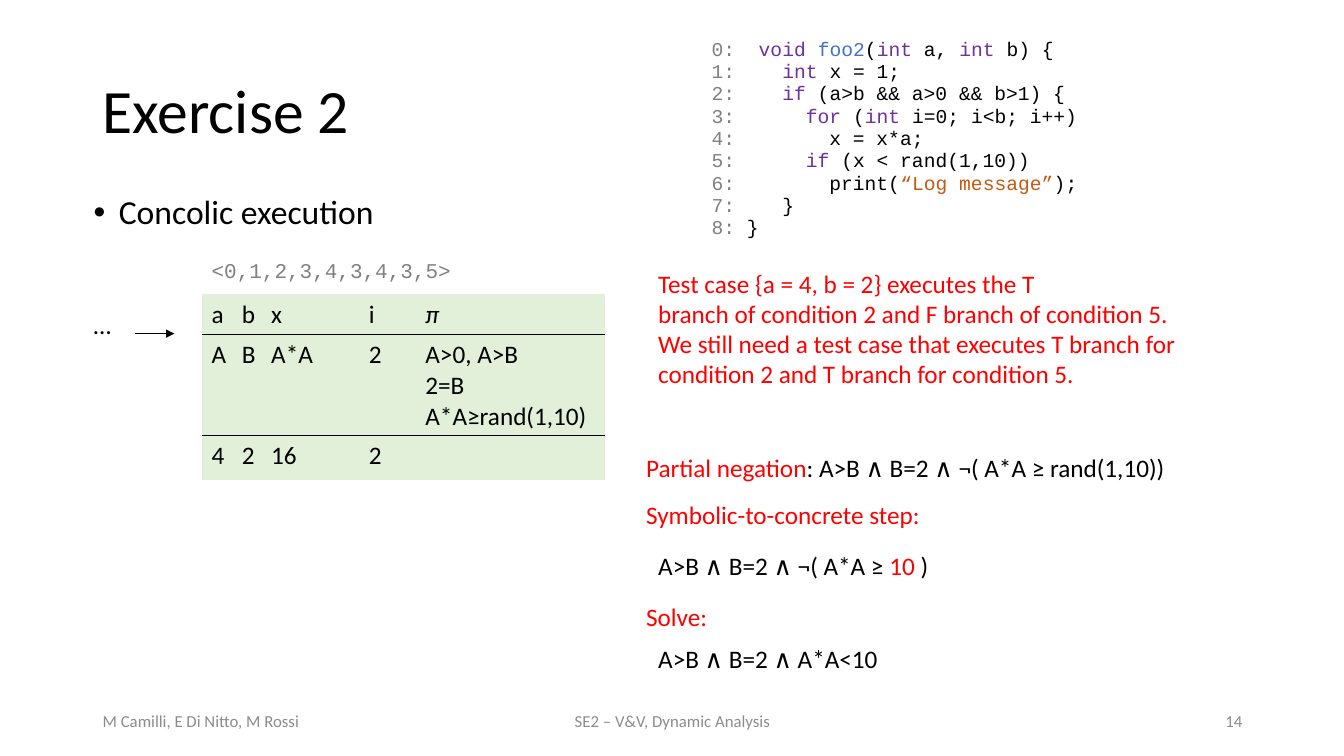
import pptx
import pptx.dml.color
import pptx.enum.shapes
import pptx.enum.text
import pptx.oxml
import pptx.oxml.ns
import pptx.util

EMU_PER_PX = 9144  # 100 px to the inch
BLACK, RED, GREY, FOOTER_GREY = "000000", "FF0000", "808080", "8C8C8C"
PURPLE, BLUE, ORANGE, PALE_GREEN = "7030A0", "4472C4", "C55A11", "E2F0D9"
ALIGN = pptx.enum.text.PP_ALIGN
MIDDLE = pptx.enum.text.MSO_ANCHOR.MIDDLE


def px(length):
    return pptx.util.Emu(length * EMU_PER_PX)


def colour_of(hex_string):
    return pptx.dml.color.RGBColor.from_string(hex_string)


def xml_element(tag, **attributes):
    element = pptx.oxml.parse_xml(f"<a:{tag} {pptx.oxml.ns.nsdecls('a')}/>")
    for name, value in attributes.items():
        element.set(name, str(value))
    return element


def write_text(frame, paragraphs, size=18, font="Calibri", colour=BLACK, italic=False,
               align=ALIGN.LEFT, spacing=None, bullet=None):
    """Paragraphs are strings or lists of (text, colour) runs; a newline breaks the line."""
    for index, content in enumerate(paragraphs):
        paragraph = frame.add_paragraph() if index else frame.paragraphs[0]
        paragraph.alignment = align
        if spacing:
            paragraph.line_spacing = spacing
        if bullet:
            properties = paragraph._p.get_or_add_pPr()
            properties.set("marL", str(px(25)))
            properties.set("indent", str(-px(25)))
            properties.append(xml_element("buFont", typeface="Arial"))
            properties.append(xml_element("buChar", char=bullet))
        runs = [(content, colour)] if isinstance(content, str) else content
        for text, run_colour in runs:
            for number, line in enumerate(text.split("\n")):
                if number:
                    paragraph.add_line_break()
                run = paragraph.add_run()
                run.text = line
                run.font.size = pptx.util.Pt(size)
                run.font.name = font
                run.font.italic = italic
                run.font.color.rgb = colour_of(run_colour)


class SlideBuilder:
    def __init__(self, presentation):
        self.slide = presentation.slides.add_slide(presentation.slide_layouts[6])
        self.line_colour = BLACK

    def text(self, left, top, width, height, *paragraphs, anchor=None, wrap=True, **style):
        shape = self.slide.shapes.add_textbox(px(left), px(top), px(width), px(height))
        shape.text_frame.word_wrap = wrap
        if anchor is not None:
            shape.text_frame.vertical_anchor = anchor
        write_text(shape.text_frame, paragraphs, **style)

    def arrow(self, start, end, weight):
        connector = self.slide.shapes.add_connector(
            pptx.enum.shapes.MSO_CONNECTOR.STRAIGHT, *map(px, start + end))
        connector.line.color.rgb = colour_of(self.line_colour)
        connector.line.width = pptx.util.Pt(weight)
        connector.line._get_or_add_ln().append(xml_element("tailEnd", type="triangle"))
        connector._element.spPr.append(xml_element("effectLst"))

    def border(self, cell, side, visible):
        line = xml_element(f"ln{side}", w=pptx.util.Pt(1))
        if visible:
            fill = xml_element("solidFill")
            fill.append(xml_element("srgbClr", val=self.line_colour))
        else:
            fill = xml_element("noFill")
        line.append(fill)
        cell._tc.get_or_add_tcPr().append(line)

    def table(self, left, top, widths, heights, rows, fill, italic_text):
        frame = self.slide.shapes.add_table(len(heights), len(widths), px(left), px(top),
                                            px(sum(widths)), px(sum(heights)))
        table = frame.table
        table.first_row = table.horz_banding = False
        for column, width in zip(table.columns, widths):
            column.width = px(width)
        for row_index, (row, height) in enumerate(zip(rows, heights)):
            table.rows[row_index].height = px(height)
            for column_index, text in enumerate(row):
                cell = table.cell(row_index, column_index)
                visible = {"T": row_index > 0, "B": row_index < len(rows) - 1}
                for side in "LRTB":
                    self.border(cell, side, visible.get(side, False))
                cell.fill.solid()
                cell.fill.fore_color.rgb = colour_of(fill)
                if text:
                    write_text(cell.text_frame, [text], italic=text == italic_text)


def main():
    presentation = pptx.Presentation()
    presentation.slide_width, presentation.slide_height = px(1333), px(750)
    builder = SlideBuilder(presentation)

    # Title and topic
    builder.text(92, 40, 1150, 145, "Exercise 2", size=44, spacing=0.9, anchor=MIDDLE)
    builder.text(83, 189, 550, 64, "Concolic execution", size=24, spacing=0.9, bullet="•")

    # Code listing, numbered from zero
    code = [
        [("  void ", PURPLE), ("foo2", BLUE), ("(", BLACK), ("int", PURPLE), (" a, ", BLACK),
         ("int", PURPLE), (" b) {", BLACK)],
        [("    int", PURPLE), (" x = 1;", BLACK)],
        [("    if", PURPLE), (" (a>b && a>0 && b>1) {", BLACK)],
        [("      for", PURPLE), (" (", BLACK), ("int ", PURPLE), ("i=0; i<b; i++)", BLACK)],
        [("        x = x*a;", BLACK)],
        [("      if", PURPLE), (" (x < rand(1,10))", BLACK)],
        [("        print(", BLACK), ("“Log message”", ORANGE), (");", BLACK)],
        [("    }", BLACK)],
        [(" }", BLACK)],
    ]
    numbered = [[(f"{number}:", GREY)] + runs for number, runs in enumerate(code)]
    builder.text(696, 33, 530, 207, *numbered, size=14, font="Courier New", spacing=0.95)

    # Execution trace and symbolic state
    builder.text(200, 251, 302, 35, "<0,1,2,3,4,3,4,3,5>", size=15, font="Courier New",
                 colour=GREY)
    builder.text(83, 302, 38, 40, "…", wrap=False)
    builder.arrow((134, 331), (173, 331), 0.5)
    state = [
        ["a", "b", "x", "i", "π"],
        ["A", "B", "A*A", "2", "A>0, A>B\n2=B\nA*A≥rand(1,10)"],
        ["4", "2", "16", "2", ""],
    ]
    builder.table(200, 292, [30, 29, 97, 56, 188], [40, 100, 44], state, PALE_GREEN, "π")

    # Explanation
    builder.text(643, 261, 567, 131,
                 "Test case {a = 4, b = 2} executes the T\n"
                 "branch of condition 2 and F branch of condition 5.\n"
                 "We still need a test case that executes T branch for "
                 "condition 2 and T branch for condition 5.", colour=RED)

    # Derivation of the next test case
    builder.text(631, 444, 663, 40, [("Partial negation", RED),
                                     (": A>B ∧ B=2 ∧ ¬( A*A ≥ rand(1,10))", BLACK)])
    builder.text(631, 490, 294, 40, "Symbolic-to-concrete step:", colour=RED)
    builder.text(643, 541, 667, 40, [("A>B ∧ B=2 ∧ ¬( A*A ≥ ", BLACK), ("10", RED),
                                     (" )", BLACK)])
    builder.text(631, 592, 294, 40, "Solve:", colour=RED)
    builder.text(643, 633, 667, 40, "A>B ∧ B=2 ∧ A*A<10")

    # Footer
    footers = [
        (92, 300, "M Camilli, E Di Nitto, M Rossi", ALIGN.LEFT),
        (442, 450, "SE2 – V&V, Dynamic Analysis", ALIGN.CENTER),
        (942, 300, "14", ALIGN.RIGHT),
    ]
    for left, width, text, align in footers:
        builder.text(left, 695, width, 40, text, size=12, colour=FOOTER_GREY, align=align,
                     anchor=MIDDLE)

    presentation.save("out.pptx")


if __name__ == "__main__":
    main()
